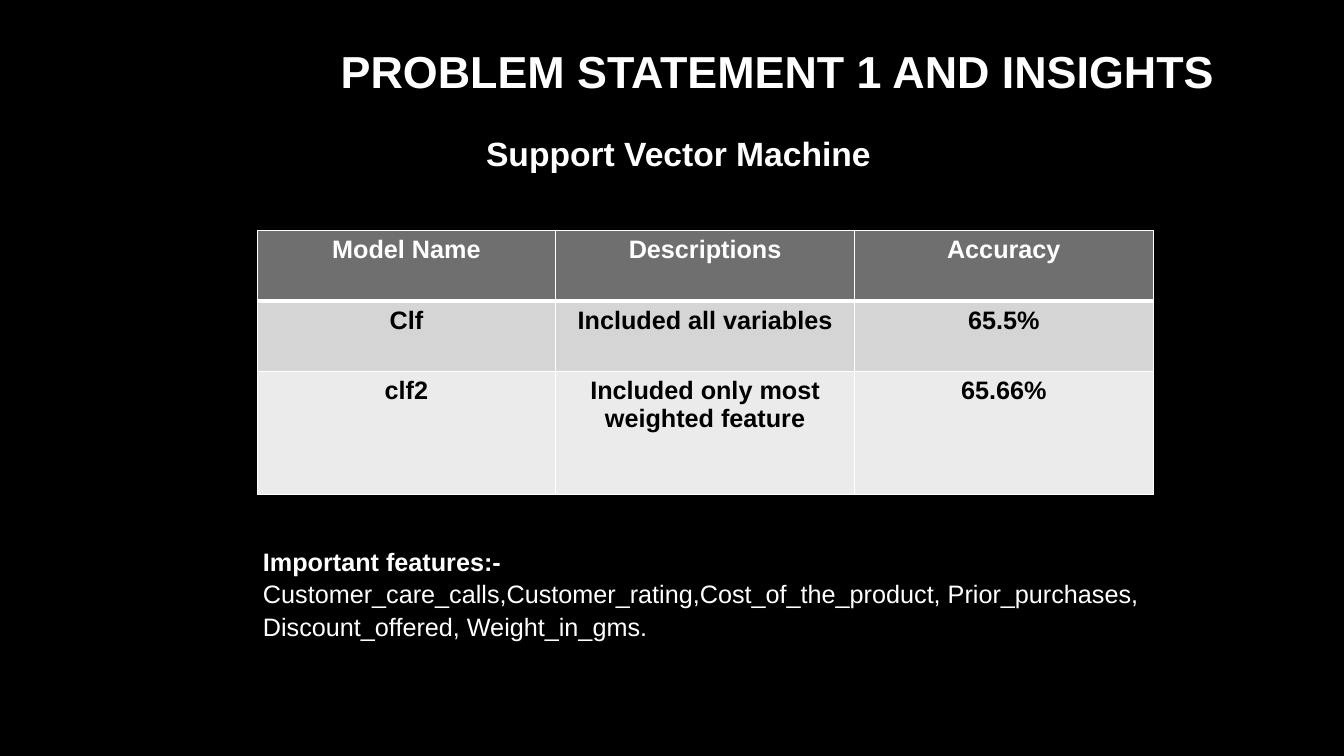
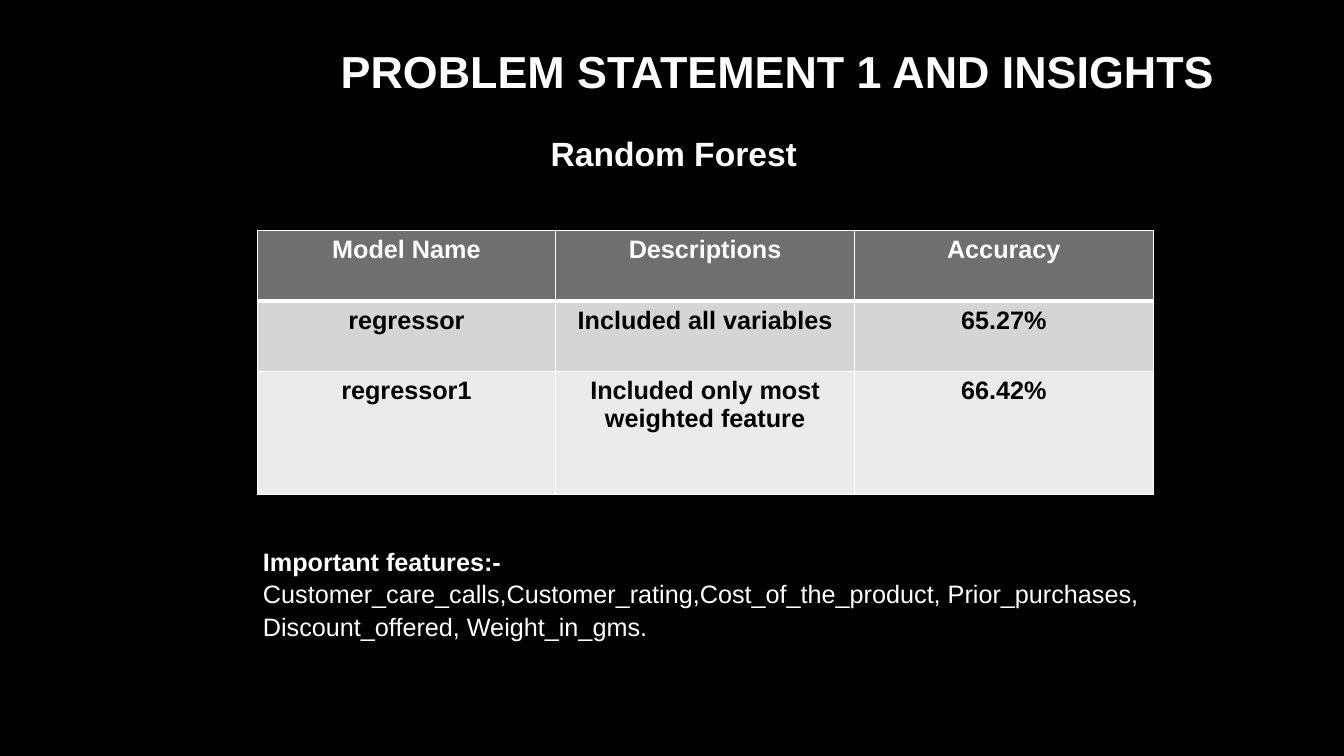
"""Builds two slides that compare the accuracy of classification models."""
from lxml.etree import SubElement
from pptx import Presentation
from pptx.dml.color import RGBColor
from pptx.enum.text import MSO_ANCHOR, PP_ALIGN
from pptx.oxml.ns import qn
from pptx.util import Inches, Pt

COLORS = {
    "background": "000000",
    "light": "FFFFFF",
    "title_end": "A6A6A6",
    "dark": "000000",
    "header": "6F6F6F",
    "odd_row": "D5D5D5",
    "even_row": "EBEBEB",
}
FONT = "Arial"
TITLE = "PROBLEM STATEMENT 1 AND INSIGHTS"
HEADINGS = ("Model Name", "Descriptions", "Accuracy")
DESCRIPTIONS = ("Included all variables", "Included only most weighted feature")
FEATURES_LABEL = "Important features:- "
FEATURES = (
    "Customer_care_calls,Customer_rating,Cost_of_the_product, "
    "Prior_purchases, Discount_offered, Weight_in_gms."
)
MODELS = (
    ("Support Vector Machine", ("Clf", "clf2"), ("65.5%", "65.66%")),
    ("Random Forest ", ("regressor", "regressor1"), ("65.27%", "66.42%")),
)
ROW_HEIGHTS = (9.33, 9.33, 16.27)


def rgb(name):
    return RGBColor.from_string(COLORS[name])


class SlideBuilder:
    def __init__(self):
        self.deck = Presentation()
        self.deck.slide_width = Inches(13.33)
        self.deck.slide_height = Inches(7.5)
        fill = self.deck.slide_master.background.fill
        fill.solid()
        fill.fore_color.rgb = rgb("background")
        self.page = None

    def columns(self, count):
        return round(self.deck.slide_width * count / 100)

    def rows(self, count):
        return round(self.deck.slide_height * count / 100)

    def area(self, left, top, width, height):
        return self.columns(left), self.rows(top), self.columns(width), self.rows(height)

    def style(self, span, size, color="light", bold=True):
        span.font.name = FONT
        span.font.size = Pt(size)
        span.font.bold = bold
        span.font.color.rgb = rgb(color)

    def add_page(self, title):
        self.page = self.deck.slides.add_slide(self.deck.slide_layouts[5])
        box = self.page.shapes.title
        box.left, box.top, box.width, box.height = self.area(21.3, 0, 73.13, 18.67)
        box.text_frame.text = title
        box.text_frame.vertical_anchor = MSO_ANCHOR.MIDDLE
        para = box.text_frame.paragraphs[0]
        para.alignment = PP_ALIGN.CENTER
        span = para.runs[0]
        self.style(span, 32)
        fill = span.font.fill
        fill.gradient()
        fill.gradient_angle = 267
        for stop, name in zip(fill.gradient_stops, ("light", "title_end")):
            stop.color.rgb = rgb(name)

    def add_text(self, area, parts, size, alignment):
        box = self.page.shapes.add_textbox(*self.area(*area))
        box.text_frame.word_wrap = True
        para = box.text_frame.paragraphs[0]
        para.alignment = alignment
        para.line_spacing = 1.07
        for text, bold in parts:
            span = para.add_run()
            span.text = text
            self.style(span, size, bold=bold)

    def add_borders(self, cell, top, bottom):
        properties = cell._tc.get_or_add_tcPr()
        for side, width in (("L", 1), ("R", 1), ("T", top), ("B", bottom)):
            line = SubElement(properties, qn(f"a:ln{side}"), w=str(Pt(width)))
            fill = SubElement(line, qn("a:solidFill"))
            SubElement(fill, qn("a:srgbClr"), val=COLORS["light"])

    def add_table(self, left, top, width, records):
        area = self.area(left, top, width, sum(ROW_HEIGHTS))
        table = self.page.shapes.add_table(len(records), len(HEADINGS), *area).table
        fills = ("header", "odd_row", "even_row")
        for index, (record, height, fill) in enumerate(zip(records, ROW_HEIGHTS, fills)):
            table.rows[index].height = self.rows(height)
            for cell, text in zip(table.rows[index].cells, record):
                self.add_borders(cell, 3 if index == 1 else 1, 3 if index == 0 else 1)
                cell.fill.solid()
                cell.fill.fore_color.rgb = rgb(fill)
                cell.text_frame.text = text
                para = cell.text_frame.paragraphs[0]
                para.alignment = PP_ALIGN.CENTER
                self.style(para.runs[0], 18, "dark" if index else "light")


def main():
    builder = SlideBuilder()
    for subtitle, names, accuracies in MODELS:
        builder.add_page(TITLE)
        builder.add_text((25.13, 16.53, 50.7, 6.67), [(subtitle, True)], 24, PP_ALIGN.CENTER)
        records = [HEADINGS, *zip(names, DESCRIPTIONS, accuracies)]
        builder.add_table(19.13, 30.53, 66.67, records)
        features = [(FEATURES_LABEL, True), (FEATURES, False)]
        builder.add_text((18.83, 71.33, 66.75, 17.47), features, 18, PP_ALIGN.LEFT)
    builder.deck.save("out.pptx")


if __name__ == "__main__":
    main()
